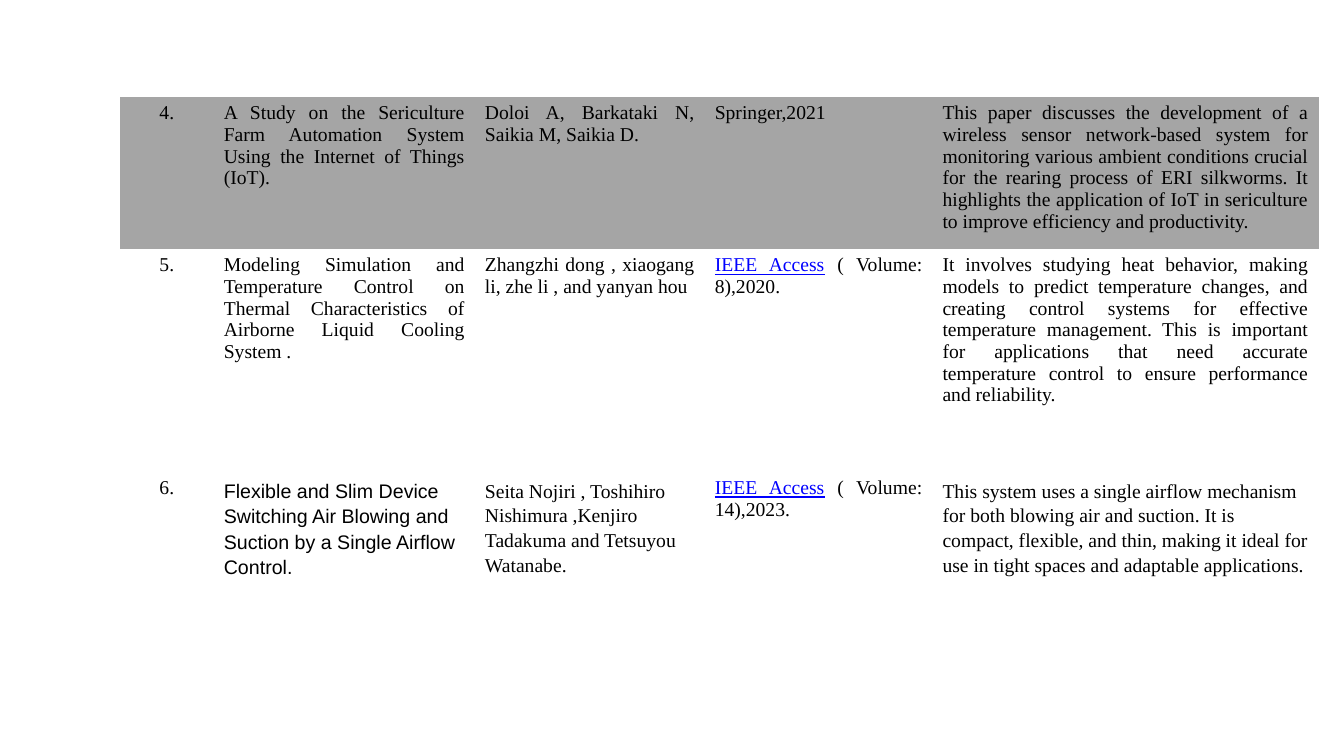
import dataclasses

import pptx
import pptx.dml.color
import pptx.enum.text
import pptx.oxml.ns
import pptx.util

Pt = pptx.util.Pt
Align = pptx.enum.text.PP_ALIGN


@dataclasses.dataclass(frozen=True)
class Theme:
    ink: str = "000000"
    link: str = "0000FF"
    band: str = "A5A5A5"
    serif: str = "Times New Roman"
    sans: str = "Arial"
    body_size: float = 14


theme = Theme()


def color(value):
    return pptx.dml.color.RGBColor.from_string(value)


# Slide
deck = pptx.Presentation()
deck.slide_width, deck.slide_height = Pt(960), Pt(540)
slide = deck.slides.add_slide(deck.slide_layouts[6])

# Survey content: number, title, authors, publication, summary
journal = "IEEE Access"
papers = [
    ["4.",
     "A Study on the Sericulture Farm Automation System Using the Internet of Things (IoT).",
     "Doloi A, Barkataki N, Saikia M, Saikia D.",
     "Springer,2021",
     "This paper discusses the development of a wireless sensor network-based system for "
     "monitoring various ambient conditions crucial for the rearing process of ERI silkworms. "
     "It highlights the application of IoT in sericulture to improve efficiency and productivity."],
    ["5.",
     "Modeling Simulation and Temperature Control on Thermal Characteristics of Airborne "
     "Liquid Cooling System .",
     "Zhangzhi dong , xiaogang li, zhe li , and yanyan hou",
     journal + " ( Volume: 8),2020.",
     "It involves studying heat behavior, making models to predict temperature changes, and "
     "creating control systems for effective temperature management. This is important for "
     "applications that need accurate temperature control to ensure performance and reliability."],
    ["6.",
     "Flexible and Slim Device Switching Air Blowing and Suction by a Single Airflow Control.",
     "Seita Nojiri , Toshihiro Nishimura ,Kenjiro Tadakuma and Tetsuyou Watanabe.",
     journal + " ( Volume: 14),2023.",
     "This system uses a single airflow mechanism for both blowing air and suction. It is "
     "compact, flexible, and thin, making it ideal for use in tight spaces and adaptable "
     "applications."],
]
column_widths = [67, 186.5, 164.2, 162.7, 275.8]
row_heights = [108.7, 159.2, 115.9]

# Table without style or grid lines
survey = slide.shapes.add_table(
    len(papers), len(column_widths), Pt(85.7), Pt(69.5),
    Pt(sum(column_widths)), Pt(sum(row_heights))).table
survey.first_row = survey.horz_banding = False
style_id = survey._tbl.tblPr.find(pptx.oxml.ns.qn("a:tableStyleId"))
style_id.text = "{2D5ABB26-0587-4C30-8999-92F81FD0307C}"
for column, width in zip(survey.columns, column_widths):
    column.width = Pt(width)
for row, height in zip(survey.rows, row_heights):
    row.height = Pt(height)

# Cells: the last paper's prose is left-aligned and loose, the rest justified
for row_index, paper in enumerate(papers):
    for column_index, wording in enumerate(paper):
        cell = survey.cell(row_index, column_index)
        if row_index == 0:
            cell.fill.solid()
            cell.fill.fore_color.rgb = color(theme.band)
        else:
            cell.fill.background()

        entry = cell.text_frame.paragraphs[0]
        loose = row_index == 2 and column_index in (1, 2, 4)
        if column_index == 0:
            entry.alignment = Align.CENTER
        elif loose:
            entry.alignment = Align.LEFT
            entry.line_spacing = 1.15
        else:
            entry.alignment = Align.JUSTIFY

        # The journal name is underlined in blue
        linked = journal if wording.startswith(journal) else ""
        for piece in filter(None, (linked, wording.removeprefix(journal))):
            run = entry.add_run()
            run.text = piece
            run.font.size = Pt(theme.body_size)
            run.font.name = theme.sans if loose and column_index == 1 else theme.serif
            run.font.underline = piece == journal
            run.font.color.rgb = color(theme.link if piece == journal else theme.ink)

deck.save("out.pptx")
